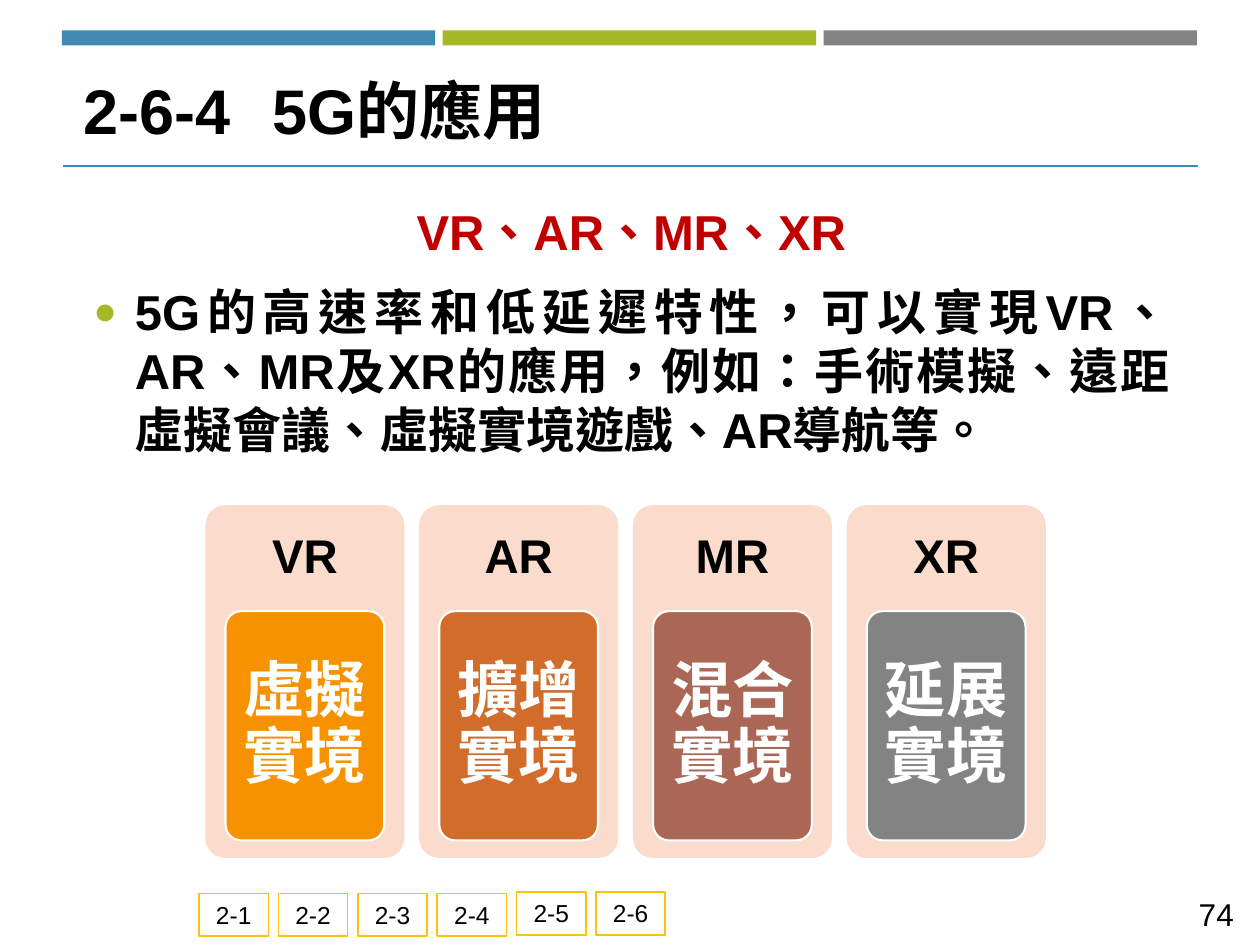
import pptx
import pptx.util
import pptx.dml.color
import pptx.enum.shapes
import pptx.enum.text
import pptx.oxml.ns
import lxml.etree

Inches = pptx.util.Inches
Pt = pptx.util.Pt
SHAPE = pptx.enum.shapes.MSO_SHAPE
ALIGN = pptx.enum.text.PP_ALIGN
ANCHOR = pptx.enum.text.MSO_ANCHOR
AUTO = pptx.enum.text.MSO_AUTO_SIZE
qn = pptx.oxml.ns.qn

COLORS = {
    "text": "000000", "white": "FFFFFF", "red": "C00000",
    "blue": "418AB3", "green": "A6B727", "gray": "838383",
    "gold": "FEC306", "peach": "FBDCCC", "orange": "F69200",
    "rust": "D16C2A", "brown": "AB6756",
}


def rgb(name):
    return pptx.dml.color.RGBColor.from_string(COLORS[name])


def add_run(p, text, size, color="text", bold=False):
    r = p.add_run()
    r.text = text
    r._r.get_or_add_rPr().set("lang", "zh-TW")
    r.font.name = "Arial"
    r.font.size = Pt(size)
    r.font.bold = bold
    r.font.color.rgb = rgb(color)


def set_margins(tf, left, top, right, bottom):
    tf.margin_left, tf.margin_top = Inches(left), Inches(top)
    tf.margin_right, tf.margin_bottom = Inches(right), Inches(bottom)


def add_box(s, kind, box, fill, line=None, width=1):
    sp = s.shapes.add_shape(kind, *map(Inches, box))
    sp.shadow.inherit = False
    sp.fill.solid()
    sp.fill.fore_color.rgb = rgb(fill)
    if line:
        sp.line.color.rgb = rgb(line)
        sp.line.width = Pt(width)
    else:
        sp.line.fill.background()
    sp.text_frame.word_wrap = True
    return sp


def place(sp, box):
    sp.left, sp.top, sp.width, sp.height = map(Inches, box)
    sp.text_frame.auto_size = AUTO.NONE
    return sp.text_frame


def add_header_bars(s, left, top, width, height):
    gap = 0.06
    bar_w = (width - 2 * gap) / 3
    for i, color in enumerate(("blue", "green", "gray")):
        add_box(s, SHAPE.RECTANGLE, (left + i * (bar_w + gap), top, bar_w, height), color)


def add_rule(s, left, top, width):
    line = s.shapes.add_connector(
        pptx.enum.shapes.MSO_CONNECTOR.STRAIGHT,
        Inches(left), Inches(top), Inches(left + width), Inches(top))
    line.line.color.rgb = rgb("blue")
    line.line.width = Pt(1)
    lxml.etree.SubElement(line._element.spPr, qn("a:effectLst"))


def add_nav(s, left, top, width, height):
    for i in range(6):
        y = top if i < 4 else top - 0.01
        sp = add_box(s, SHAPE.RECTANGLE, (left + i * 0.63, y, width, height), "white", "gold", 0.85)
        tf = sp.text_frame
        tf.vertical_anchor = ANCHOR.TOP
        p = tf.paragraphs[0]
        p.alignment = ALIGN.CENTER
        add_run(p, f"2-{i + 1}", 14)


def fill_title(s, *box):
    tf = place(s.shapes.title, box)
    tf.vertical_anchor = ANCHOR.MIDDLE
    p = tf.paragraphs[0]
    tabs = lxml.etree.SubElement(p._p.get_or_add_pPr(), qn("a:tabLst"))
    lxml.etree.SubElement(tabs, qn("a:tab"), pos=str(Inches(1.5)), algn="l")
    p.alignment = ALIGN.LEFT
    add_run(p, "2-6-4\t5G的應用", 36, bold=True)


def fill_body(s, *box):
    tf = place(s.placeholders[1], box)
    p = tf.paragraphs[0]
    pPr = p._p.get_or_add_pPr()
    pPr.set("marL", "0")
    pPr.set("indent", "0")
    lxml.etree.SubElement(pPr, qn("a:buNone"))
    p.alignment = ALIGN.CENTER
    p.space_before = Pt(0)
    p.space_after = Pt(6)
    add_run(p, "VR、AR、MR、XR", 28, "red", True)

    p = tf.add_paragraph()
    pPr = p._p.get_or_add_pPr()
    pPr.set("marL", str(Inches(0.33)))
    pPr.set("indent", str(-Inches(0.33)))
    color = lxml.etree.SubElement(pPr, qn("a:buClr"))
    lxml.etree.SubElement(color, qn("a:srgbClr"), val=COLORS["green"])
    lxml.etree.SubElement(pPr, qn("a:buSzPct"), val="80000")
    lxml.etree.SubElement(pPr, qn("a:buFont"), typeface="Arial")
    lxml.etree.SubElement(pPr, qn("a:buChar"), char="●")
    p.alignment = ALIGN.JUSTIFY
    p.space_before = Pt(6)
    p.space_after = Pt(6)
    add_run(p, "5G的高速率和低延遲特性，可以實現VR、AR、MR及XR的應用，"
               "例如：手術模擬、遠距虛擬會議、虛擬實境遊戲、AR導航等。", 28, bold=True)


def add_card_text(sp, text, size, color):
    sp.adjustments[0] = 0.1
    sp.text_frame.vertical_anchor = ANCHOR.MIDDLE
    p = sp.text_frame.paragraphs[0]
    p.alignment = ALIGN.CENTER
    p.line_spacing = 0.9
    add_run(p, text, size, color, True)


def add_cards(s, left, top, width, height):
    cards = [("VR", "虛擬實境", "orange"), ("AR", "擴增實境", "rust"),
             ("MR", "混合實境", "brown"), ("XR", "延展實境", "gray")]
    card_w, head_h, inset = 1.58, 0.84, 0.16
    step = (width - card_w) / (len(cards) - 1)
    for i, (name, meaning, color) in enumerate(cards):
        x = left + i * step
        card = add_box(s, SHAPE.ROUNDED_RECTANGLE, (x, top, card_w, height), "peach")
        set_margins(card.text_frame, 0.11, 0.11, 0.11, height - head_h + 0.11)
        add_card_text(card, name, 27, "text")
        tile = add_box(s, SHAPE.ROUNDED_RECTANGLE,
                       (x + inset, top + head_h, card_w - 2 * inset, 1.82),
                       color, "white", 1.2)
        set_margins(tile.text_frame, 0.06, 0.07, 0.06, 0.07)
        add_card_text(tile, meaning, 35, "white")


def add_page_number(s, *box):
    tf = s.shapes.add_textbox(*map(Inches, box)).text_frame
    tf.word_wrap = True
    tf.vertical_anchor = ANCHOR.MIDDLE
    p = tf.paragraphs[0]
    p.alignment = ALIGN.RIGHT
    add_run(p, "74", 18)


def main():
    prs = pptx.Presentation()
    prs.slide_width, prs.slide_height = Inches(10), Inches(7.5)
    s = prs.slides.add_slide(prs.slide_layouts[1])
    add_nav(s, 1.58, 7.09, 0.55, 0.34)
    add_header_bars(s, 0.49, 0.24, 9.01, 0.12)
    add_rule(s, 0.5, 1.32, 9.01)
    fill_title(s, 0.56, 0.46, 8.82, 0.81)
    fill_body(s, 0.64, 1.55, 8.74, 5.34)
    add_page_number(s, 9.05, 7.05, 0.84, 0.4)
    add_cards(s, 1.63, 4.01, 6.67, 2.8)
    prs.save("out.pptx")


if __name__ == "__main__":
    main()
